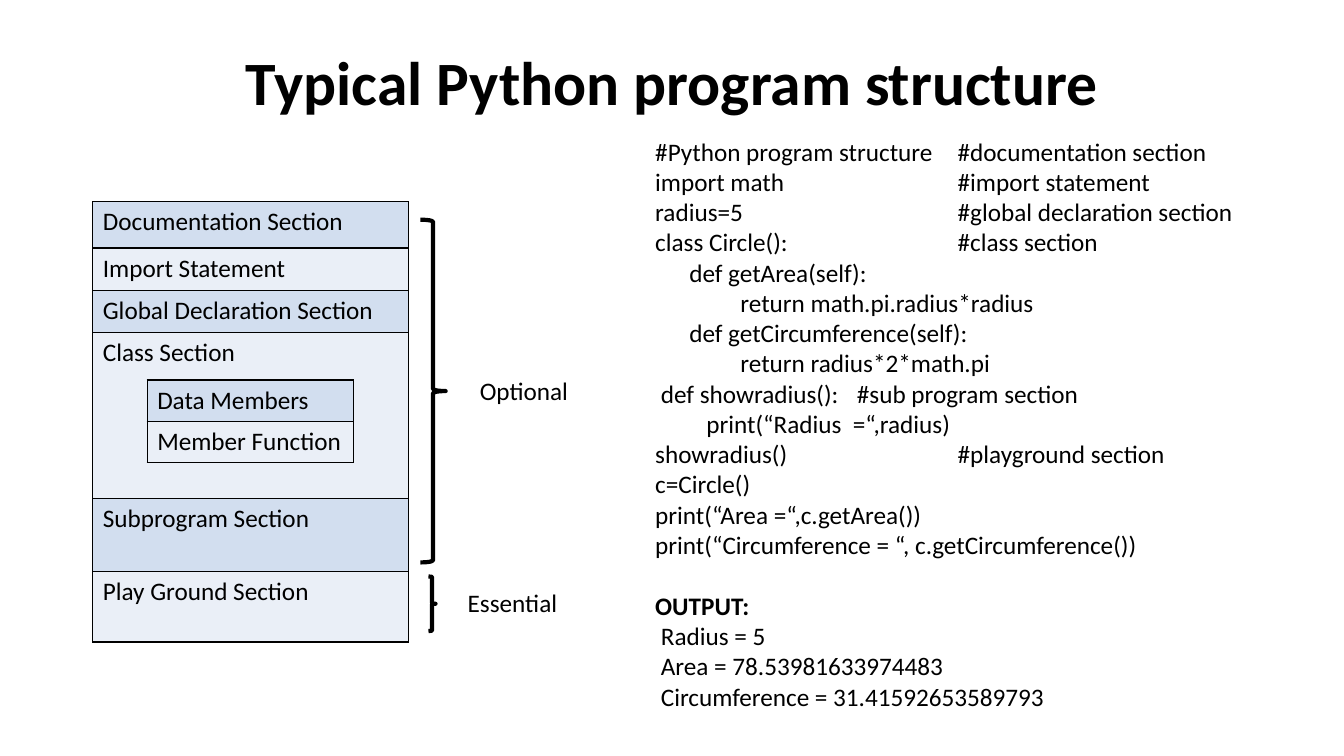
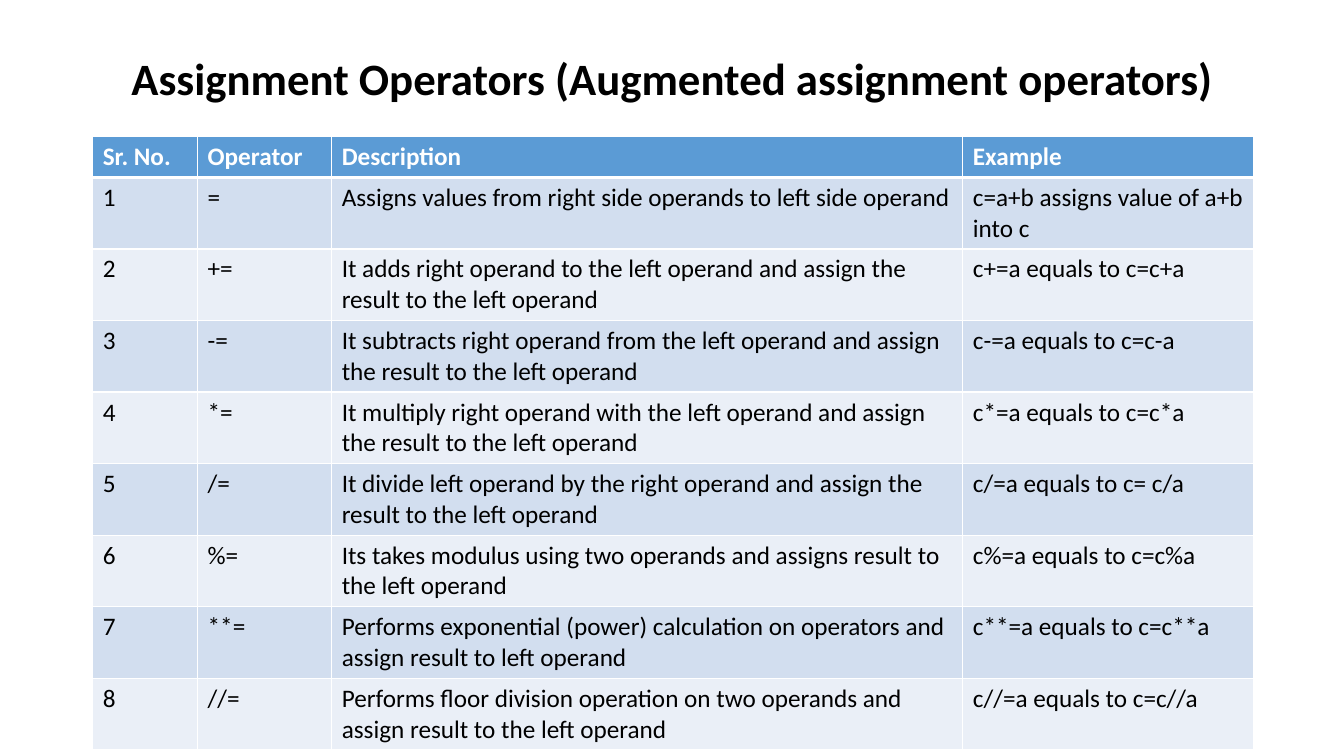
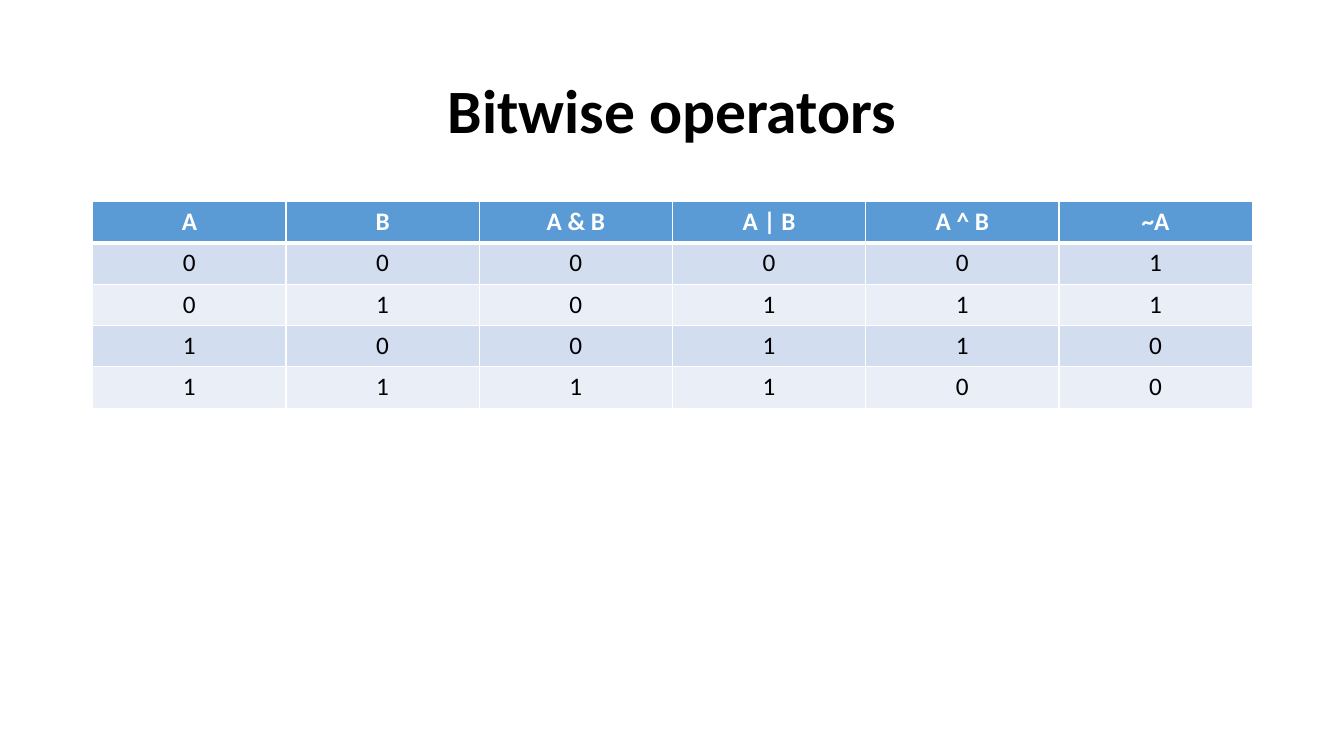
"""Build three slides on Python program structure and operators."""
from lxml import etree
from pptx import Presentation
from pptx.dml.color import RGBColor
from pptx.enum.shapes import MSO_SHAPE
from pptx.enum.text import MSO_ANCHOR, PP_ALIGN
from pptx.oxml.ns import qn
from pptx.util import Inches, Pt

BRACE = MSO_SHAPE.RIGHT_BRACE
MIDDLE = MSO_ANCHOR.MIDDLE
LEFT, CENTER = PP_ALIGN.LEFT, PP_ALIGN.CENTER
FONT = "Calibri"
BLACK, WHITE, HEADER = "000000", "FFFFFF", "5B9BD5"
BANDS = ["D2DEEF", "EAEFF7"]
MARGIN, CONTENT_WIDTH = 0.92, 11.5
ROW_HEIGHT = 0.41


def write(paragraph, text, size=18, bold=False, color=BLACK, align=LEFT):
    """Add one styled run to a paragraph."""
    paragraph.alignment = align
    run = paragraph.add_run()
    run.text = text
    run.font.name = FONT
    run.font.size = Pt(size)
    run.font.bold = bold
    run.font.color.rgb = RGBColor.from_string(color)


def add_banded_table(slide, left, top, widths, heights, rows, border, header=True, align=LEFT):
    """Add a table with banded rows, ruled cells and an optional header row."""
    frame = slide.shapes.add_table(
        len(rows), len(widths), Inches(left), Inches(top),
        Inches(sum(widths)), Inches(sum(heights)))
    table = frame.table
    table.first_row = header
    for column, width in zip(table.columns, widths):
        column.width = Inches(width)
    for row_index, (row, height, texts) in enumerate(zip(table.rows, heights, rows)):
        row.height = Inches(height)
        is_header = header and row_index == 0
        top_width = 3 if header and row_index == 1 else 1
        bottom_width = 3 if is_header else 1
        edges = {"a:lnL": 1, "a:lnR": 1, "a:lnT": top_width, "a:lnB": bottom_width}
        fill = HEADER if is_header else BANDS[(row_index - header) % 2]
        for cell, text in zip(row.cells, texts):
            properties = cell._tc.get_or_add_tcPr()
            for edge, points in edges.items():
                line = etree.SubElement(properties, qn(edge), w=str(Pt(points)))
                line_fill = etree.SubElement(line, qn("a:solidFill"))
                etree.SubElement(line_fill, qn("a:srgbClr"), val=border)
            cell.fill.solid()
            cell.fill.fore_color.rgb = RGBColor.from_string(fill)
            write(cell.text_frame.paragraphs[0], text, bold=is_header,
                  color=WHITE if is_header else BLACK, align=align)


presentation = Presentation()
presentation.slide_width = Inches(13.33)
presentation.slide_height = Inches(7.5)

slides = []
for title, size, height in [
    ("Typical Python program structure", 44, 0.9),
    ("Assignment Operators (Augmented assignment operators)", 32, 0.81),
    ("Bitwise operators", 44, 1.45),
]:
    slide = presentation.slides.add_slide(presentation.slide_layouts[6])
    heading = slide.shapes.add_textbox(
        Inches(MARGIN), Inches(0.4), Inches(CONTENT_WIDTH), Inches(height)).text_frame
    heading.word_wrap = True
    heading.vertical_anchor = MIDDLE
    heading.paragraphs[0].line_spacing = 0.9
    write(heading.paragraphs[0], title, size, True, align=CENTER)
    slides.append(slide)
structure, assignment, bitwise = slides

sections = ["Documentation Section", "Import Statement", "Global Declaration Section",
            "Class Section", "Subprogram Section", "Play Ground Section"]
add_banded_table(structure, MARGIN, 2, [3.13], [0.46, 0.42, 0.42, 1.65, 0.72, 0.7],
                 [[section] for section in sections], BLACK, header=False)
add_banded_table(structure, 1.46, 3.77, [2.05], [ROW_HEIGHT] * 2,
                 [["Data Members"], ["Member Function"]], BLACK, header=False)

for left, top, width, height in [(4.17, 2.18, 0.25, 3.4), (4.25, 5.72, 0.07, 0.54)]:
    brace = structure.shapes.add_shape(
        BRACE, Inches(left), Inches(top), Inches(width), Inches(height))
    brace.shadow.inherit = False
    brace.fill.background()
    brace.line.color.rgb = RGBColor.from_string(BLACK)
    brace.line.width = Pt(3)

code = [
    "#Python program structure\t#documentation section",
    "import math\t#import statement",
    "radius=5\t#global declaration section",
    "class Circle():\t#class section",
    "      def getArea(self):",
    "               return math.pi.radius*radius",
    "      def getCircumference(self):",
    "               return radius*2*math.pi",
    " def showradius():\t#sub program section",
    "         print(“Radius  =“,radius)",
    "showradius()\t#playground section",
    "c=Circle()",
    "print(“Area =“,c.getArea())",
    "print(“Circumference = “, c.getCircumference())",
    "OUTPUT:",
    " Radius = 5",
    " Area = 78.53981633974483",
    " Circumference = 31.41592653589793",
]
for left, top, width, height, lines in [
    (4.66, 3.67, 1.18, 0.4, ["Optional"]),
    (4.54, 5.78, 1.17, 0.4, ["Essential"]),
    (6.4, 1.3, 6.02, 5.86, code),
]:
    body = structure.shapes.add_textbox(
        Inches(left), Inches(top), Inches(width), Inches(height)).text_frame
    body.word_wrap = True
    for index, text in enumerate(lines):
        paragraph = body.add_paragraph() if index else body.paragraphs[0]
        is_output = text == "OUTPUT:"
        if is_output:
            paragraph.space_before = Pt(22)
        if "\t" in text:
            stop = 2 if text.startswith(" ") else 3
            tabs = etree.SubElement(paragraph._p.get_or_add_pPr(), qn("a:tabLst"))
            etree.SubElement(tabs, qn("a:tab"), pos=str(Inches(stop)), algn="l")
        write(paragraph, text, bold=is_output)

operators = [
    ("=", "Assigns values from right side operands to left side operand",
     "c=a+b assigns value of a+b into c"),
    ("+=", "It adds right operand to the left operand and assign the result to the left operand",
     "c+=a equals to c=c+a"),
    ("-=", "It subtracts right operand from the left operand and assign the result to the left operand",
     "c-=a equals to c=c-a"),
    ("*=", "It multiply right operand with the left operand and assign the result to the left operand",
     "c*=a equals to c=c*a"),
    ("/=", "It divide left operand by the right operand and assign the result to the left operand",
     "c/=a equals to c= c/a"),
    ("%=", "Its takes modulus using two operands and assigns result to the left operand",
     "c%=a equals to c=c%a"),
    ("**=", "Performs exponential (power) calculation on operators and assign result to left operand",
     "c**=a equals to c=c**a"),
    ("//=", "Performs floor division operation on two operands and assign result to the left operand",
     "c//=a equals to c=c//a"),
]
operator_rows = [("Sr. No.", "Operator", "Description", "Example")]
operator_rows += [(str(number), *row) for number, row in enumerate(operators, 1)]
add_banded_table(assignment, MARGIN, 1.35, [1.04, 1.33, 6.26, 2.88],
                 [ROW_HEIGHT] + [0.71] * len(operators), operator_rows, WHITE)

truth_rows = [["A", "B", "A & B", "A | B", "A ^ B", "~A"]]
for a in (0, 1):
    for b in (0, 1):
        truth_rows.append([str(value) for value in (a, b, a & b, a | b, a ^ b, 1 - a)])
add_banded_table(bitwise, MARGIN, 2, [CONTENT_WIDTH / 6] * 6,
                 [ROW_HEIGHT] * len(truth_rows), truth_rows, WHITE, align=CENTER)

presentation.save("out.pptx")
